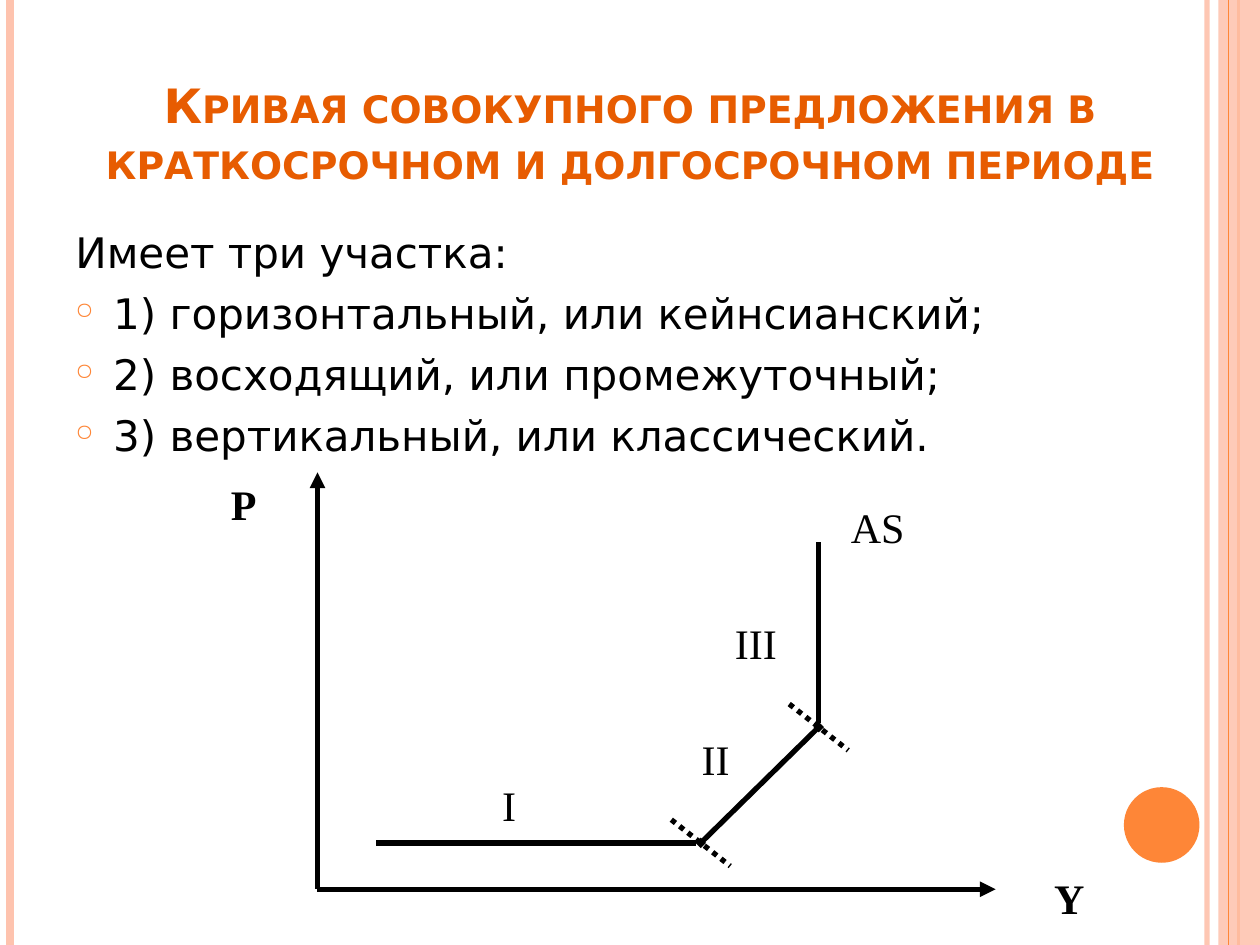
import pptx
import pptx.util
import pptx.dml.color
import pptx.enum.dml
import pptx.enum.shapes
import pptx.enum.text
import pptx.oxml.ns
import pptx.oxml.xmlchemy

Pt = pptx.util.Pt
Align = pptx.enum.text.PP_ALIGN
Kind = pptx.enum.shapes.MSO_SHAPE
tint = {"black": "000000", "white": "FFFFFF", "title": "E75C01",
        "peach": "FEC3AE", "orange": "FE8637"}
rgb = {key: pptx.dml.color.RGBColor.from_string(val) for key, val in tint.items()}

deck = pptx.Presentation()
deck.slide_width = pptx.util.Inches(10)
deck.slide_height = pptx.util.Inches(7.5)
wide, high = deck.slide_width, deck.slide_height
slide = deck.slides.add_slide(deck.slide_layouts[6])
shapes = slide.shapes


def add(root, tag, **attrs):
    node = pptx.oxml.xmlchemy.OxmlElement(tag)
    for key, val in attrs.items():
        node.set(key, str(val))
    root.append(node)
    return node


def draw(start, end, color, width, tip=None, dash=None):
    line = shapes.add_connector(pptx.enum.shapes.MSO_CONNECTOR.STRAIGHT,
                                *[int(val) for val in (*start, *end)])
    line.line.color.rgb = rgb[color]
    line.line.width = Pt(width)
    if dash:
        line.line.dash_style = dash
    if tip:
        size = "sm" if tip == "diamond" else "med"
        add(line.line._get_or_add_ln(), "a:tailEnd", type=tip, w=size, len=size)
    add(line._element.spPr, "a:effectLst")
    return line


rails = [(0.958, "peach", 3), (0.008, "peach", 4.5), (0.983, "orange", 1.5)]
lines = [draw((wide * x, 0), (wide * x, high), color, width)
         for x, color, width in rails]
band = shapes.add_shape(Kind.RECTANGLE, int(wide * 0.967), 0, int(wide * 0.033), high)
draw((wide * 0.975, 0), (wide * 0.975, high), "orange", 0.75)
disc = shapes.add_shape(Kind.OVAL, int(wide * 0.892), int(high * 0.833),
                        int(wide * 0.06), int(wide * 0.06))
for shape, color in [(band, "peach"), (disc, "orange")]:
    shape.shadow.inherit = False
    shape.fill.solid()
    shape.fill.fore_color.rgb = rgb[color]
    shape.line.fill.background()
for root, alpha in [(lines[0].line._get_or_add_ln(), 93000),
                    (band._element.spPr, 87000)]:
    fill = root.find(pptx.oxml.ns.qn("a:solidFill"))
    add(fill[0], "a:alpha", val=alpha)

title = shapes.add_textbox(int(wide * 0.05), int(high * 0.04),
                           int(wide * 0.9), int(high * 0.167))
frame = title.text_frame
frame.word_wrap = True
frame.vertical_anchor = pptx.enum.text.MSO_ANCHOR.BOTTOM
para = frame.paragraphs[0]
para.alignment = Align.CENTER
run = para.add_run()
run.text = "Кривая совокупного предложения в краткосрочном и долгосрочном периоде"
for key, val in {"name": "DejaVu Sans", "size": Pt(27), "bold": True}.items():
    setattr(run.font, key, val)
run.font.color.rgb = rgb["title"]
run._r.get_or_add_rPr().set("cap", "small")

items = ["Имеет три участка:",
         "1) горизонтальный, или кейнсианский;",
         "2) восходящий, или промежуточный;",
         "3) вертикальный, или классический."]
body = shapes.add_textbox(int(wide * 0.05), int(high * 0.233),
                          int(wide * 0.817), int(high * 0.711))
frame = body.text_frame
frame.word_wrap = True
dent = pptx.util.Inches(0.3)
for rank, text in enumerate(items):
    para = frame.add_paragraph() if rank else frame.paragraphs[0]
    props = para._p.get_or_add_pPr()
    props.set("marL", str(dent))
    props.set("indent", str(-dent))
    if rank:
        para.space_before = Pt(6)
        add(add(props, "a:buClr"), "a:srgbClr", val=tint["orange"])
        add(props, "a:buSzPct", val=55000)
        add(props, "a:buChar", char="○")
    run = para.add_run()
    run.text = text
    for key, val in {"name": "DejaVu Sans", "size": Pt(24)}.items():
        setattr(run.font, key, val)
    run.font.color.rgb = rgb["black"]

left, base = wide * 0.252, high * 0.941
col, row = wide * 0.0234, high * 0.0245
dots = pptx.enum.dml.MSO_LINE.ROUND_DOT
curve = [((0, 0), (23, 0), "triangle", None),
         ((0, 0), (0, 18), "triangle", None),
         ((2, 2), (13, 2), "diamond", None),
         ((17, 15), (17, 7), "diamond", None),
         ((13, 2), (17, 7), None, None),
         ((12, 3), (14, 1), None, dots),
         ((16, 8), (18, 6), None, dots)]
for start, end, tip, dash in curve:
    ends = [(left + x * col, base - y * row) for x, y in (start, end)]
    draw(*ends, "black", 3, tip, dash)

marks = [("I", 5, 5, 3, 2, Align.CENTER, False),
         ("II", 12, 7, 3, 2, Align.CENTER, False),
         ("III", 13, 12, 3, 3, Align.RIGHT, False),
         ("AS", 17, 17, 4, 2, Align.CENTER, False),
         ("Y", 24, 1, 3, 3, Align.CENTER, True),
         ("P", -4, 18, 3, 3, Align.CENTER, True)]
for text, x, y, across, down, align, bold in marks:
    mark = shapes.add_shape(Kind.RECTANGLE, int(left + x * col), int(base - y * row),
                            int(across * col), int(down * row))
    mark.shadow.inherit = False
    mark.fill.solid()
    mark.fill.fore_color.rgb = rgb["white"]
    mark.line.fill.background()
    frame = mark.text_frame
    form = {"word_wrap": True, "margin_top": pptx.util.Inches(0.05),
            "margin_bottom": 0,
            "vertical_anchor": pptx.enum.text.MSO_ANCHOR.TOP}
    for key, val in form.items():
        setattr(frame, key, val)
    para = frame.paragraphs[0]
    para.alignment = align
    run = para.add_run()
    run.text = text
    for key, val in {"name": "Times New Roman", "size": Pt(24), "bold": bold}.items():
        setattr(run.font, key, val)
    run.font.color.rgb = rgb["black"]

deck.save("out.pptx")
